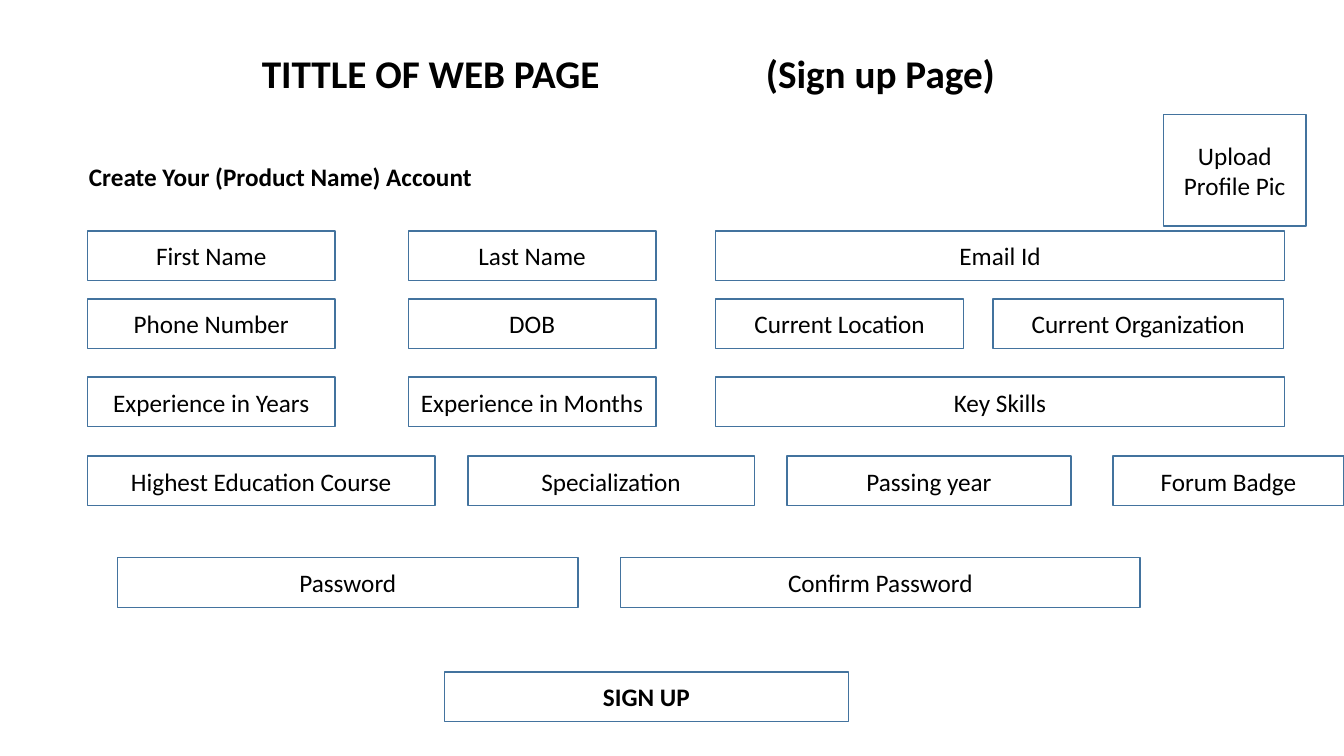
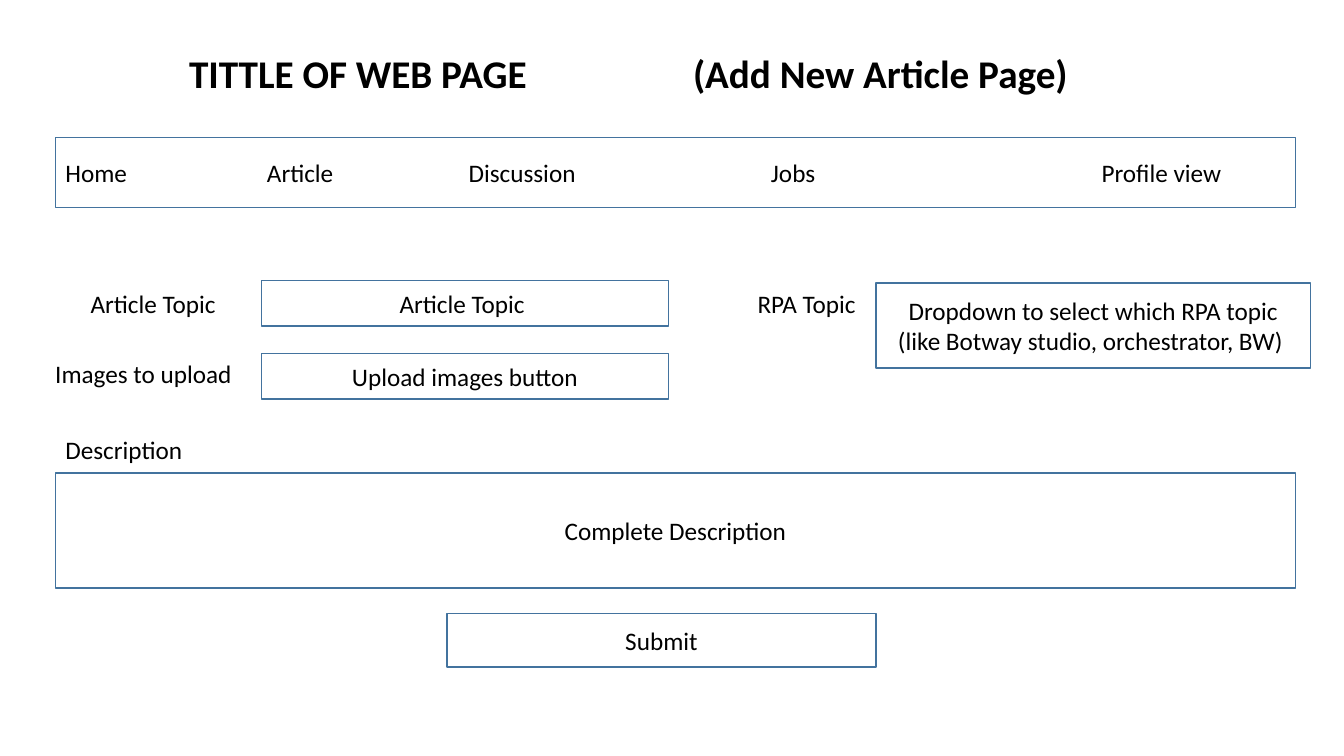
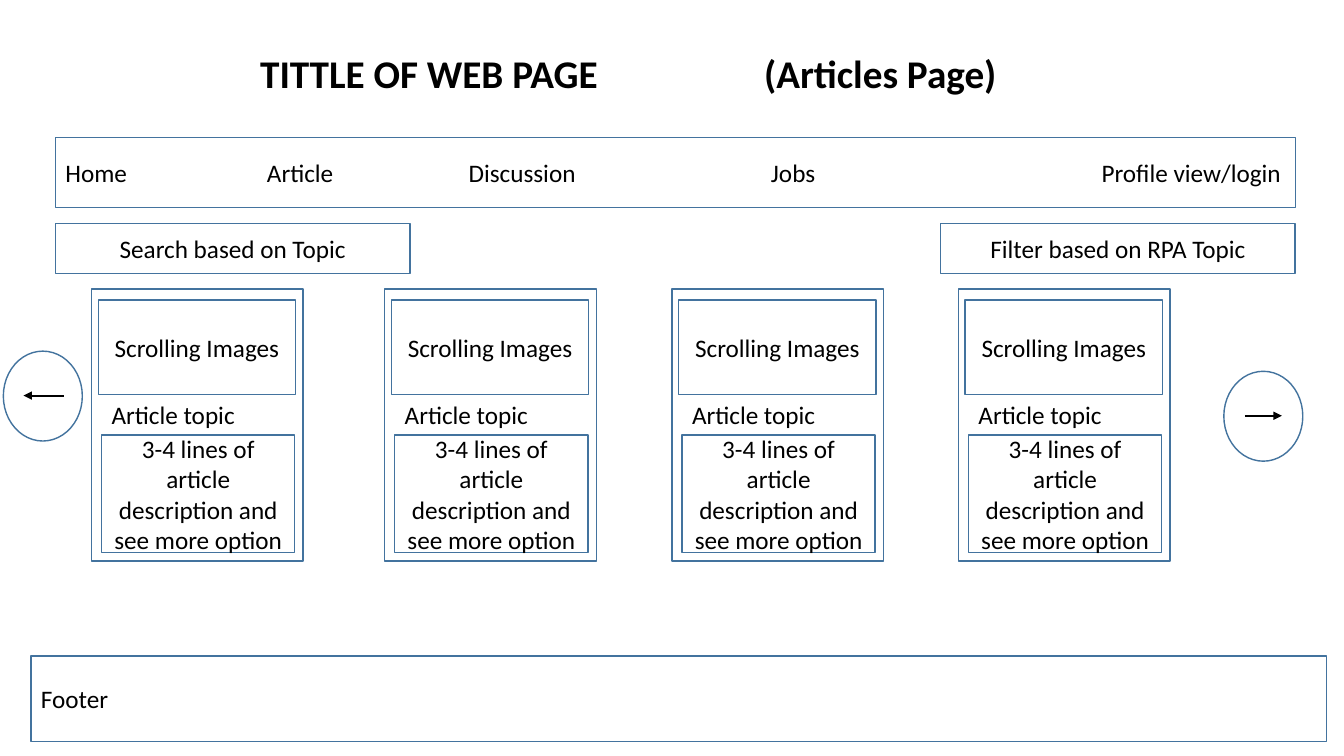
from lxml import etree
from pptx import Presentation
from pptx.dml.color import RGBColor
from pptx.enum.shapes import MSO_CONNECTOR, MSO_SHAPE
from pptx.enum.text import MSO_ANCHOR, PP_ALIGN
from pptx.oxml.ns import qn
from pptx.util import Inches, Pt

RECT, OVAL = MSO_SHAPE.RECTANGLE, MSO_SHAPE.OVAL
STRAIGHT = MSO_CONNECTOR.STRAIGHT
TOP, MIDDLE = MSO_ANCHOR.TOP, MSO_ANCHOR.MIDDLE
LEFT, CENTER = PP_ALIGN.LEFT, PP_ALIGN.CENTER

COLS, ROWS = 160, 90
HUES = {"text": "000000", "edge": "43739E"}
FONT = "Calibri"
LINE = 4.8


class Deck:
    def __init__(self):
        self.deck = Presentation()
        self.deck.slide_width = Inches(13.333)
        self.deck.slide_height = Inches(7.5)
        self.slide = None

    def page(self, name):
        self.slide = self.deck.slides.add_slide(self.deck.slide_layouts[6])
        self.label(5.4, 5.3, 138.8, f"TITTLE OF WEB PAGE\t({name})",
                   high=6.8, size=28, bold=True, align=CENTER, tabs=[5])

    def across(self, col):
        return round(self.deck.slide_width * col / COLS)

    def down(self, row):
        return round(self.deck.slide_height * row / ROWS)

    def area(self, col, row, wide, high):
        return self.across(col), self.down(row), self.across(wide), self.down(high)

    def hue(self, name):
        return RGBColor.from_string(HUES[name])

    def letter(self, shape, text, size=18, bold=False, align=CENTER, anchor=MIDDLE, tabs=()):
        frame = shape.text_frame
        frame.word_wrap = True
        frame.vertical_anchor = anchor
        para = frame.paragraphs[0]
        para.alignment = align
        if tabs:
            stops = etree.SubElement(para._p.get_or_add_pPr(), qn("a:tabLst"))
            for stop in tabs:
                etree.SubElement(stops, qn("a:tab"), pos=str(Inches(stop)), algn="l")
        run = para.add_run()
        run.text = text
        run.font.name = FONT
        run.font.size = Pt(size)
        run.font.bold = bold
        run.font.color.rgb = self.hue("text")

    def label(self, col, row, wide, text, high=LINE, align=LEFT, **style):
        box = self.slide.shapes.add_textbox(*self.area(col, row, wide, high))
        self.letter(box, text, align=align, anchor=TOP, **style)

    def box(self, col, row, wide, high, text="", kind=RECT, **style):
        shape = self.slide.shapes.add_shape(kind, *self.area(col, row, wide, high))
        shape.shadow.inherit = False
        shape.fill.background()
        shape.line.color.rgb = self.hue("edge")
        shape.line.width = Pt(1)
        if text:
            self.letter(shape, text, **style)

    def fields(self, row, high, *items):
        for col, wide, text in items:
            self.box(col, row, wide, high, text)

    def menu(self, last):
        items = ["Home", "Article", "Discussion", "Jobs", last]
        self.box(6.6, 16.4, 147.6, 8.3, "\t".join(items),
                 align=LEFT, tabs=[2, 4, 7, 10.28])

    def card(self, col, row):
        self.box(col, row, 25.2, 32.4)
        self.box(col + 0.8, row + 1.3, 23.5, 11.3, "Scrolling Images")
        self.label(col + 1.2, row + 12.6, 17.2, "Article topic")
        self.box(col + 1.2, row + 17.4, 23, 14,
                 "3-4 lines of article description and see more option ")

    def arrow(self, start, end, row):
        line = self.slide.shapes.add_connector(
            STRAIGHT, self.across(start), self.down(row), self.across(end), self.down(row))
        line.line.color.rgb = self.hue("text")
        line.line.width = Pt(1.5)
        etree.SubElement(line.line._get_or_add_ln(), qn("a:tailEnd"), type="triangle")
        etree.SubElement(line._element.spPr, qn("a:effectLst"))

    def scroll(self, col, row, start, end):
        self.box(col, row, 9.4, 10.7, kind=OVAL)
        self.arrow(start, end, row + 5.3)


def signup(deck):
    deck.page("Sign up Page")
    deck.label(9.4, 18.6, 61.2, "Create Your (Product Name) Account", bold=True)
    deck.box(138.5, 13.6, 17, 13.3, "Upload Profile Pic")
    one, two, three = 10.4, 48.6, 85.2
    slim, full, high = 29.5, 67.7, 5.9
    deck.fields(27.5, high, (one, slim, "First Name"), (two, slim, "Last Name"),
                (three, full, "Email Id"))
    deck.fields(35.6, high, (one, slim, "Phone Number"), (two, slim, "DOB"),
                (three, slim, "Current Location"), (118.2, 34.6, "Current Organization"))
    deck.fields(44.9, high, (one, slim, "Experience in Years"),
                (two, slim, "Experience in Months"), (three, full, "Key Skills"))
    deck.fields(54.3, high, (one, 41.4, "Highest Education Course"),
                (55.7, 34.1, "Specialization"), (93.7, 33.8, "Passing year"),
                (132.5, 27.5, "Forum Badge"))
    deck.fields(66.4, high, (14, 54.8, "Password"), (73.9, 61.8, "Confirm Password"))
    deck.box(52.9, 80, 48.1, high, "SIGN UP", bold=True)


def create(deck):
    deck.page("Add New Article Page")
    deck.menu("Profile view")
    for col, row, wide, text in [
        (9.6, 33.7, 18.6, "Article Topic"),
        (5.4, 42.1, 23.8, "Images to upload"),
        (6.6, 51.1, 40.4, "Description"),
        (89, 33.7, 26.8, "RPA Topic"),
    ]:
        deck.label(col, row, wide, text)
    deck.box(31.1, 33.4, 48.5, 5.4, "Article Topic ")
    deck.box(31.1, 42.1, 48.5, 5.4, "Upload images button")
    deck.box(104.3, 33.7, 51.7, 10.1,
             "Dropdown to select which RPA topic (like Botway studio, orchestrator, BW) ")
    deck.box(6.6, 56.3, 147.6, 13.7, "Complete Description")
    deck.box(53.2, 73, 51.1, 6.4, "Submit")


def browse(deck):
    deck.page("Articles Page")
    deck.menu("Profile view/login")
    deck.fields(26.6, 6, (6.6, 42.2, "Search based on Topic"),
                (112, 42.2, "Filter based on RPA Topic"))
    for col in (10.9, 45.8, 80, 114.1):
        deck.card(col, 34.4)
    deck.scroll(145.7, 44.2, 148.2, 152.6)
    deck.scroll(0.4, 41.8, 7.6, 2.8)
    deck.box(3.7, 78.1, 154.2, 10.2, "Footer", align=LEFT)


def main():
    deck = Deck()
    for build in (signup, create, browse):
        build(deck)
    deck.deck.save("out.pptx")


if __name__ == "__main__":
    main()
